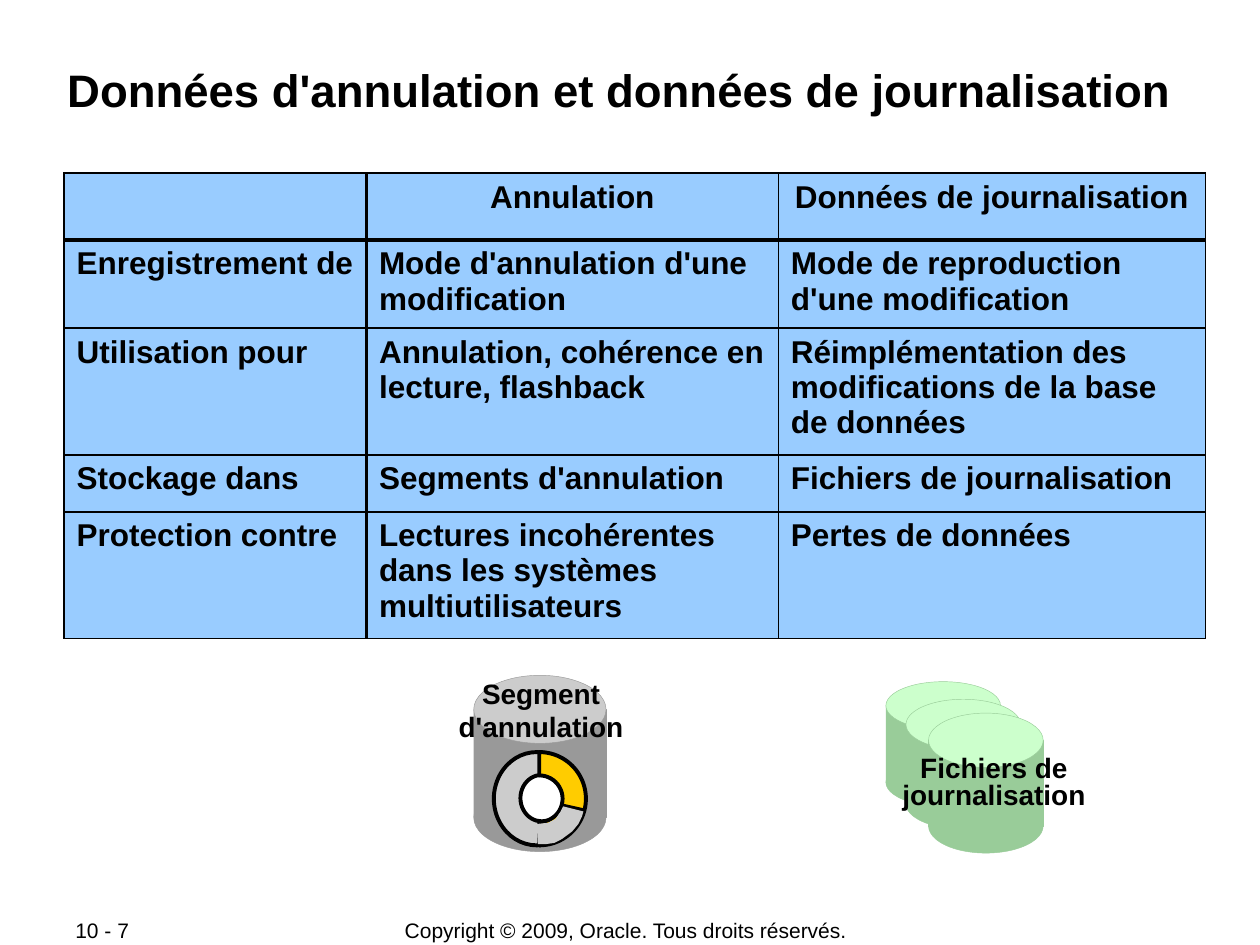
from lxml.etree import SubElement
from pptx import Presentation
from pptx.dml.color import RGBColor
from pptx.enum.shapes import MSO_CONNECTOR, MSO_SHAPE
from pptx.enum.text import MSO_ANCHOR, PP_ALIGN
from pptx.oxml.ns import qn
from pptx.util import Pt

THEME = {
    "font": "Arial",
    "black": RGBColor(0x00, 0x00, 0x00),
    "white": RGBColor(0xFF, 0xFF, 0xFF),
    "cell": RGBColor(0x99, 0xCC, 0xFF),
    "green": RGBColor(0x99, 0xCC, 0x99),
    "light_green": RGBColor(0xCC, 0xFF, 0xCC),
    "gray": RGBColor(0x99, 0x99, 0x99),
    "light_gray": RGBColor(0xCC, 0xCC, 0xCC),
    "yellow": RGBColor(0xFF, 0xCC, 0x00),
    "title": Pt(26),
    "table": Pt(18),
    "label": Pt(16),
    "footer": Pt(12),
}


def write(frame, text, size, bold, align, spacing=None):
    para = frame.paragraphs[0]
    para.text = text
    para.alignment = align
    para.line_spacing = spacing
    font_format = {"name": THEME["font"], "size": THEME[size], "bold": bold}
    for span in para.runs:
        for name, value in font_format.items():
            setattr(span.font, name, value)
        span.font.color.rgb = THEME["black"]


def draw(shapes, kind, place, fill, line, weight):
    shape = shapes.add_shape(kind, *[Pt(length) for length in place])
    shape.shadow.inherit = False
    shape.fill.solid()
    shape.fill.fore_color.rgb = THEME[fill]
    shape.line.color.rgb = THEME[line]
    shape.line.width = Pt(weight)
    return shape


deck = Presentation()
deck.slide_width, deck.slide_height = Pt(720), Pt(540)
page = deck.slides.add_slide(deck.slide_layouts[6])

rows = [
    ["", "Annulation", "Données de journalisation"],
    ["Enregistrement de", "Mode d'annulation d'une modification",
     "Mode de reproduction d'une modification"],
    ["Utilisation pour", "Annulation, cohérence en lecture, flashback",
     "Réimplémentation des modifications de la base de données"],
    ["Stockage dans", "Segments d'annulation", "Fichiers de journalisation"],
    ["Protection contre", "Lectures incohérentes dans les systèmes multiutilisateurs",
     "Pertes de données"],
]
widths = [172.8, 235.4, 244]
heights = [38.2, 50.4, 72.4, 32.4, 72.4]
table = page.shapes.add_table(
    len(rows), len(widths), Pt(36.6), Pt(99), Pt(sum(widths)), Pt(sum(heights))
).table
for column, width in zip(table.columns, widths):
    column.width = Pt(width)
for row, height in zip(table.rows, heights):
    row.height = Pt(height)

for row_index, row in enumerate(rows):
    for column_index, text in enumerate(row):
        cell = table.cell(row_index, column_index)
        align = PP_ALIGN.LEFT if row_index else PP_ALIGN.CENTER
        write(cell.text_frame, text, "table", True, align)
        edges = {"L": column_index, "R": column_index + 1,
                 "T": row_index, "B": row_index + 1}
        properties = cell._tc.get_or_add_tcPr()
        for side, edge in edges.items():
            weight = Pt(2.21 if edge == 1 else 1.08)
            border = SubElement(properties, qn(f"a:ln{side}"), w=str(weight))
            paint = SubElement(border, qn("a:solidFill"))
            SubElement(paint, qn("a:srgbClr"), val=str(THEME["black"]))
        cell.fill.solid()
        cell.fill.fore_color.rgb = THEME["cell"]

cylinders = [
    (506.2, 389.5, 65.5, 27.4, 43.9, "green", "light_green"),
    (517.7, 399.6, 65.5, 28.8, 45.4, "green", "light_green"),
    (530.6, 407.5, 65.5, 31, 49, "green", "light_green"),
    (270.7, 385.9, 75.6, 38.9, 61.9, "gray", "light_gray"),
]
for left, top, width, cap, body, side_color, lid_color in cylinders:
    cylinder = page.shapes.add_group_shape()
    parts = [
        (MSO_SHAPE.RECTANGLE, top + cap / 2, body, side_color),
        (MSO_SHAPE.OVAL, top, cap, lid_color),
        (MSO_SHAPE.OVAL, top + body, cap, side_color),
    ]
    for kind, part_top, height, color in parts:
        place = (left, part_top, width, height)
        draw(cylinder.shapes, kind, place, color, side_color, 0.25)

ring = page.shapes.add_group_shape()
draw(ring.shapes, MSO_SHAPE.OVAL, (282.2, 429.8, 49, 53.3), "light_gray", "black", 2.25)
draw(ring.shapes, MSO_SHAPE.OVAL, (297.4, 442.8, 24.5, 26.6), "white", "black", 2.25)
arc = draw(ring.shapes, MSO_SHAPE.BLOCK_ARC, (281.5, 429.8, 53.3, 53.3),
           "yellow", "black", 2.25)
arc.rotation = 90
for index, value in enumerate([108, 0, 0.25]):
    arc.adjustments[index] = value

divider = ring.shapes.add_connector(
    MSO_CONNECTOR.STRAIGHT, Pt(320.4), Pt(460.1), Pt(333.4), Pt(463))
divider.line.color.rgb = THEME["black"]
divider.line.width = Pt(2.25)
SubElement(divider._element.spPr, qn("a:effectLst"))

outline = [
    (306.7, 470.9), (307.4, 482.4), (311.8, 482.4), (316.8, 481.7), (321.1, 479.5),
    (326.9, 475.2), (330.5, 470.9), (332.6, 466.6), (333.4, 463.7), (321.8, 460.8),
    (320.4, 463.7), (317.5, 468), (313.2, 470.2),
]
points = [(Pt(x), Pt(y)) for x, y in outline]
builder = ring.shapes.build_freeform(*points[0])
builder.add_line_segments(points[1:], close=True)
sector = builder.convert_to_shape()
sector.shadow.inherit = False
sector.fill.solid()
sector.fill.fore_color.rgb = THEME["light_gray"]
sector.line.fill.background()

TOP, MIDDLE = MSO_ANCHOR.TOP, MSO_ANCHOR.MIDDLE
CENTER, LEFT = PP_ALIGN.CENTER, PP_ALIGN.LEFT
texts = [
    ("Données d'annulation et données de journalisation",
     (27, 34.6, 654, 69), "title", True, CENTER, TOP, True, 0.7, 0.7, None),
    ("Fichiers de\vjournalisation",
     (500, 429, 136, 53), "label", True, CENTER, TOP, True, 7.2, 3.6, 0.8),
    ("Segment d'annulation",
     (244, 383, 130.3, 45.4), "label", True, CENTER, TOP, True, 7.2, 3.6, None),
    ("Copyright\u00a0©\u00a02009, Oracle. Tous droits réservés.".replace("\u00a0", " "),
     (196, 524, 323.3, 15), "footer", False, CENTER, MIDDLE, False, 7.2, 3.6, None),
    ("10 - 7",
     (36, 524, 76.3, 15), "footer", False, LEFT, MIDDLE, False, 7.2, 3.6, None),
]
for text, place, size, bold, align, anchor, wrap, inset_x, inset_y, spacing in texts:
    box = page.shapes.add_textbox(*[Pt(length) for length in place])
    frame_format = {
        "word_wrap": wrap, "vertical_anchor": anchor,
        "margin_left": Pt(inset_x), "margin_right": Pt(inset_x),
        "margin_top": Pt(inset_y), "margin_bottom": Pt(inset_y),
    }
    for name, value in frame_format.items():
        setattr(box.text_frame, name, value)
    write(box.text_frame, text, size, bold, align, spacing)

deck.save("out.pptx")
